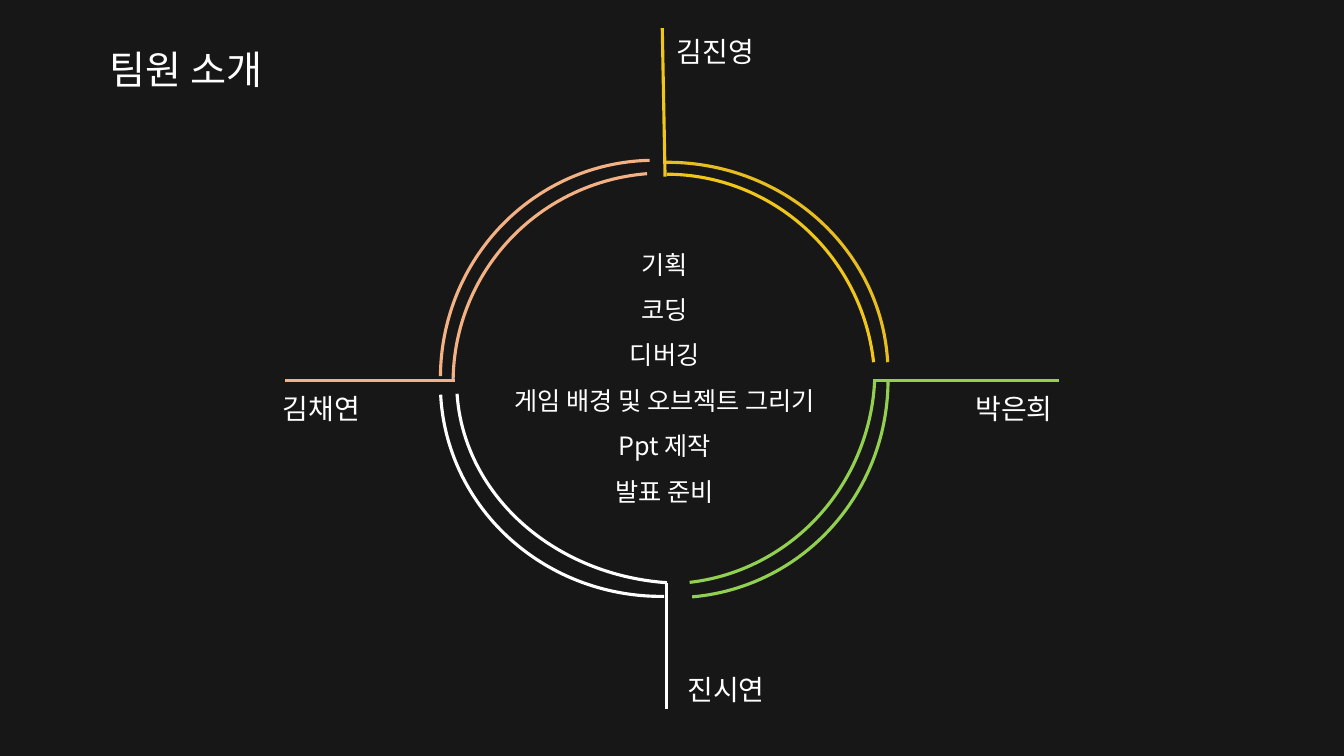
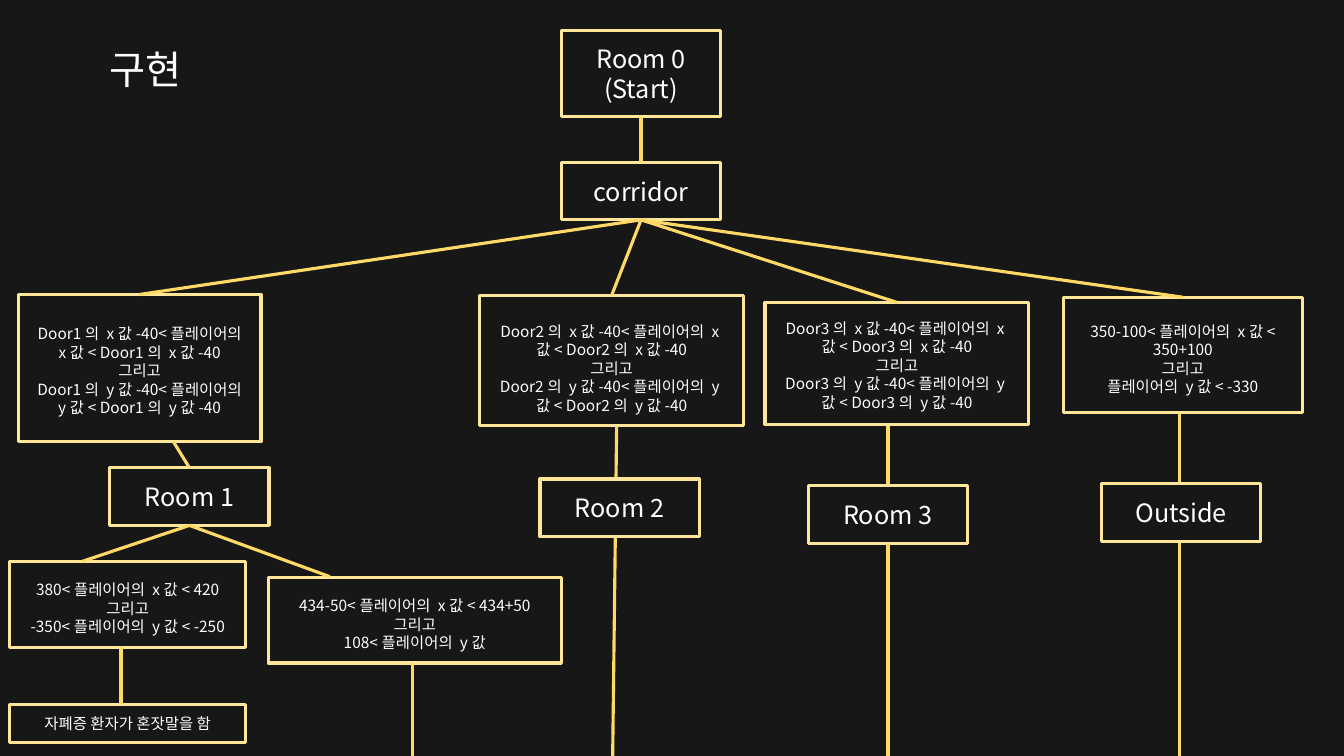
from lxml import etree
from pptx import Presentation, util as u
from pptx.dml.color import RGBColor
from pptx.enum import shapes, text
from pptx.oxml.ns import qn

FONT = "Noto Sans CJK KR"
DARK, WHITE = "181717", "FFFFFF"
GOLD, YELLOW, PEACH, GREEN = "E8BD20", "EFC619", "F4B183", "92D050"
FRAME, LINK = "FFE699", "FFD966"
LINE_WIDTH = u.Pt(2.25)
SLIDE_WIDTH, SLIDE_HEIGHT = 33.87, 19.05
ROOM_WIDTH, ROOM_HEIGHT = 4.01, 1.45
TOP_SITE, BOTTOM_SITE = 0, 2


def color(value):
    """Turn a hex string into a colour."""
    return RGBColor.from_string(value)


def write(frame, content, size=18, align=None, spacing=None):
    """Fill a text frame, one paragraph per line of content."""
    frame.word_wrap = True
    for index, line in enumerate(content.split("\n")):
        para = frame.add_paragraph() if index else frame.paragraphs[0]
        para.alignment = align
        para.line_spacing = spacing
        span = para.add_run()
        span.text = line
        span.font.size = u.Pt(size)
        span.font.name = FONT
        span.font.color.rgb = color(WHITE)
        etree.SubElement(span.font._element, qn("a:ea"), typeface=FONT)


class Deck:
    """Hold the presentation style and the current page."""

    def __init__(self):
        """Start an empty widescreen presentation."""
        self.file = Presentation()
        self.file.slide_width = u.Cm(SLIDE_WIDTH)
        self.file.slide_height = u.Cm(SLIDE_HEIGHT)
        self.page = None

    def add_page(self, title):
        """Add a dark page with its title."""
        self.page = self.file.slides.add_slide(self.file.slide_layouts[6])
        self.page.background.fill.solid()
        self.page.background.fill.fore_color.rgb = color(DARK)
        self.label(title, 2.51, 1.02, 7.04, 1.45, size=28)

    def label(self, content, left, top, width, height, **style):
        """Add a plain text box."""
        box = self.page.shapes.add_textbox(*map(u.Cm, (left, top, width, height)))
        write(box.text_frame, content, **style)

    def outline(self, kind, left, top, width, height, hue):
        """Add an unfilled shape with a coloured outline."""
        shape = self.page.shapes.add_shape(kind, *map(u.Cm, (left, top, width, height)))
        shape.shadow.inherit = False
        shape.fill.background()
        shape.line.color.rgb = color(hue)
        shape.line.width = LINE_WIDTH
        return shape

    def arc(self, hue, left, top, width, height, start, end):
        """Add an arc between two clockwise angles in degrees."""
        shape = self.outline(shapes.MSO_SHAPE.ARC, left, top, width, height, hue)
        for index, angle in enumerate((start, end)):
            shape.adjustments[index] = angle * 0.6

    def box(self, content, left, top, width, height, size=18, drop=0):
        """Add a framed box whose centred text sits lower by drop."""
        shape = self.outline(shapes.MSO_SHAPE.RECTANGLE, left, top, width, height, FRAME)
        frame = shape.text_frame
        frame.margin_left = frame.margin_right = u.Cm(0.43)
        frame.margin_top, frame.margin_bottom = u.Cm(2 * drop), 0
        frame.vertical_anchor = text.MSO_ANCHOR.MIDDLE
        write(frame, content, size=size, align=text.PP_ALIGN.CENTER)
        return shape

    def room(self, content, left, top, height=ROOM_HEIGHT):
        """Add a room box that hides the lines behind it."""
        shape = self.box(content, left, top, ROOM_WIDTH, height)
        shape.fill.solid()
        shape.fill.fore_color.rgb = color(DARK)
        return shape

    def line(self, start, end, hue=LINK):
        """Join two ends, each a point or a box (bottom to top)."""
        points = [(0, 0) if hasattr(end_, "shape_id") else end_ for end_ in (start, end)]
        link = self.page.shapes.add_connector(
            shapes.MSO_CONNECTOR.STRAIGHT, *map(u.Cm, points[0] + points[1]))
        if hasattr(start, "shape_id"):
            link.begin_connect(start, BOTTOM_SITE)
        if hasattr(end, "shape_id"):
            link.end_connect(end, TOP_SITE)
        link.line.color.rgb = color(hue)
        link.line.width = LINE_WIDTH
        etree.SubElement(link._element.spPr, qn("a:effectLst"))


def add_team(deck):
    """Build the page that presents the team."""
    deck.add_page("팀원 소개")
    for arc in (
        (GOLD, 11.25, 4.09, 11.13, 10.64, 269.2, 357.1),
        (PEACH, 11.1, 4.04, 10.77, 10.97, 180.5, 268.8),
        (WHITE, 11.1, 4.34, 11.13, 10.69, 89.2, 177.3),
        (GREEN, 11.61, 4.09, 10.77, 10.97, 0, 85.3),
        (YELLOW, 11.51, 4.39, 10.54, 10.67, 270.3, 353.5),
        (PEACH, 11.42, 4.36, 10.62, 10.54, 180.3, 265.4),
        (GREEN, 11.53, 3.94, 10.52, 10.77, 2.9, 83.7),
        (WHITE, 11.51, 4.57, 11.48, 10.13, 95, 177.1),
    ):
        deck.arc(*arc)
    for name, hue, start, end, left, top in (
        ("김진영", YELLOW, (16.76, 4.45), (16.69, 0.71), 16.81, 0.74),
        ("박은희", GREEN, (22, 9.58), (26.7, 9.58), 24.33, 9.73),
        ("진시연", WHITE, (16.79, 14.68), (16.79, 17.86), 17.07, 16.81),
        ("김채연", PEACH, (7.19, 9.58), (11.46, 9.58), 6.88, 9.73),
    ):
        deck.line(start, end, hue)
        deck.label(name, left, top, 3.33, 1.12, size=20)
    deck.label("기획\n코딩\n디버깅\n게임 배경 및 오브젝트 그리기\nPpt제작\n발표 준비",
               12.19, 5.77, 9.12, 7.04, align=text.PP_ALIGN.CENTER, spacing=1.5)


def add_rooms(deck):
    """Build the page that maps the rooms and their conditions."""
    deck.add_page("구현")
    doors = []
    for number, left, top, width, height, drop in (
        (1, 0.46, 7.42, 6.12, 3.71, 0.06),
        (2, 12.09, 7.44, 6.65, 3.28, 0.2),
        (3, 19.28, 7.62, 6.65, 3.07, 0.05),
    ):
        rules = [f"Door{number}의 {axis}값-40<플레이어의 {axis}값< Door{number}의 {axis}값-40"
                 for axis in "xy"]
        doors.append(deck.box("\n그리고\n".join(rules), left, top, width, height, 11, drop))
    doors.append(deck.box("350-100<플레이어의 x값< 350+100\n그리고\n플레이어의 y값< -330",
                          26.8, 7.49, 6.02, 2.9, 11, 0.1))
    deck.box("380<플레이어의 x값< 420\n그리고\n-350<플레이어의 y값< -250",
             0.25, 14.15, 5.94, 2.16, 11, 0.1)
    deck.box("434-50<플레이어의 x값< 434+50\n그리고\n108<플레이어의 y값",
             6.76, 14.55, 7.39, 2.16, 11, 0.1)
    patient = deck.box("자폐증 환자가 혼잣말을 함", 0.25, 17.75, 5.94, 0.97, 11)

    for x, top, foot in ((10.39, 16.71, 10.39), (15.54, 10.74, 15.44),
                         (22.38, 10.74, 22.38), (29.72, 10.41, 29.72)):
        deck.line((x, top), (foot, SLIDE_HEIGHT))

    start = deck.room("Room 0\n(Start)", 14.15, 0.76, 2.18)
    corridor = deck.room("corridor", 14.15, 4.09)
    first_room = deck.room("Room 1", 2.77, 11.79)
    deck.room("Room 2", 13.61, 12.07)
    deck.room("Room 3", 20.37, 12.24)
    deck.room("Outside", 27.76, 12.19)

    deck.line(start, corridor)
    for door in doors:
        deck.line(corridor, door)
    deck.line((4.37, 11.13), first_room)
    deck.line(first_room, (2.06, 14.15))
    deck.line(first_room, (8.31, 14.53))
    deck.line((3.05, 16.31), (3.05, patient.top.cm))


def main():
    """Build and save the presentation."""
    deck = Deck()
    add_team(deck)
    add_rooms(deck)
    deck.file.save("out.pptx")


if __name__ == "__main__":
    main()
